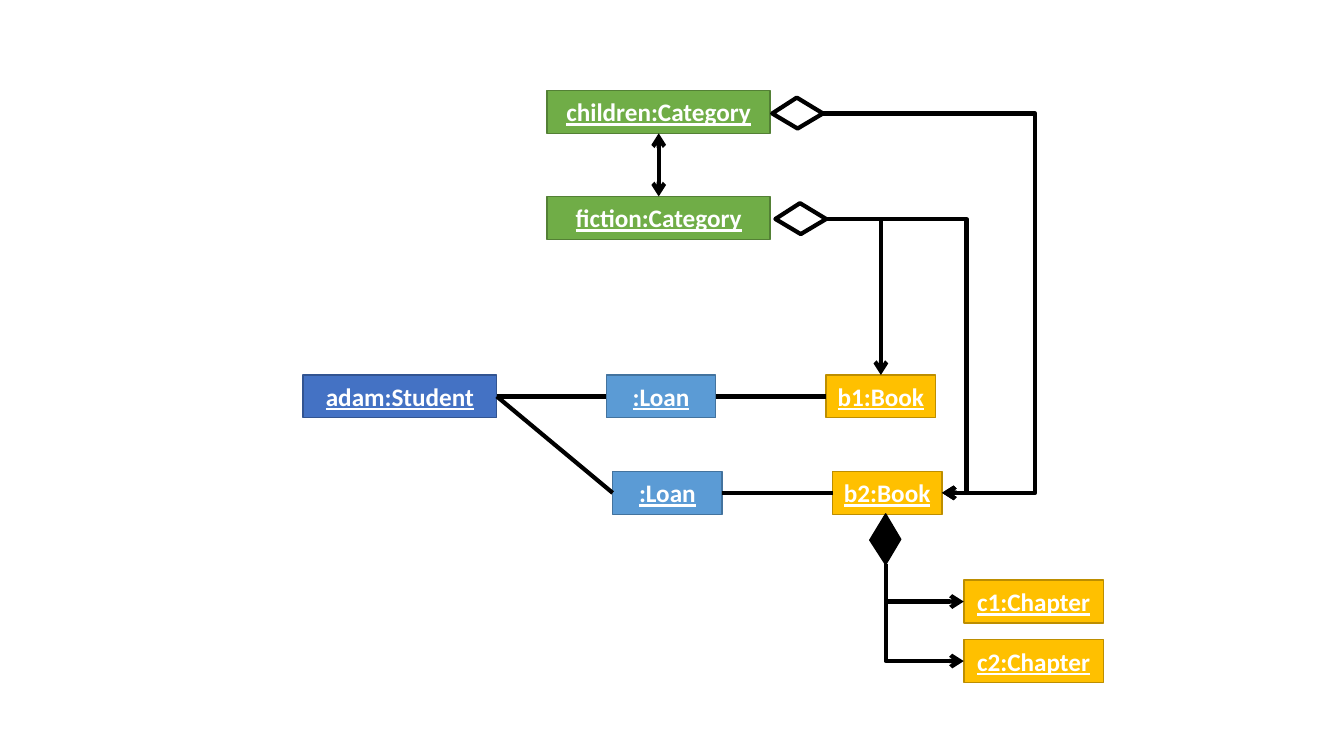
from pptx import Presentation
from pptx import util as u
from pptx.dml.color import RGBColor
from pptx.enum import shapes, text
from pptx.oxml import ns, xmlchemy

COLOURS = {
    "student": ("4472C4", "325491"),
    "loan": ("5B9BD5", "43739E"),
    "book": ("FFC000", "BD8E00"),
    "category": ("70AD47", "538035"),
    "ink": "000000",
    "label": "FFFFFF",
}
LABEL_FORMAT = {"name": "Calibri", "size": u.Pt(18), "bold": True, "underline": True}
BOX_HEIGHT = 1.08
TOP, LEFT, BOTTOM, RIGHT = range(4)

# name: label, kind, left, top, width (cm)
OBJECTS = {
    "adam": ("adam:Student", "student", 7.64, 9.45, 4.88),
    "loan1": (":Loan", "loan", 15.28, 9.45, 2.76),
    "b1": ("b1:Book", "book", 20.82, 9.45, 2.76),
    "loan2": (":Loan", "loan", 15.44, 11.88, 2.76),
    "b2": ("b2:Book", "book", 20.98, 11.88, 2.76),
    "children": ("children:Category", "category", 13.79, 2.28, 5.62),
    "fiction": ("fiction:Category", "category", 13.79, 4.95, 5.62),
    "c1": ("c1:Chapter", "book", 24.29, 14.62, 3.52),
    "c2": ("c2:Chapter", "book", 24.29, 16.12, 3.52),
}
ASSOCIATIONS = [
    ("adam", RIGHT, "loan1", LEFT, ()),
    ("loan1", RIGHT, "b1", LEFT, ()),
    ("adam", RIGHT, "loan2", LEFT, ()),
    ("loan2", RIGHT, "b2", LEFT, ()),
    ("children", BOTTOM, "fiction", TOP, ("headEnd", "tailEnd")),
]
KITE = [(0.4, 0), (0, 0.66), (0.4, 1.28), (0.78, 0.64)]


def rgb(value):
    return RGBColor.from_string(value)


def set_line(shape, colour, width):
    shape.line.color.rgb = rgb(colour)
    shape.line.width = u.Pt(width)


def add_object(page, label, kind, left, top, width):
    box = page.shapes.add_shape(
        shapes.MSO_SHAPE.RECTANGLE,
        u.Cm(left), u.Cm(top), u.Cm(width), u.Cm(BOX_HEIGHT))
    fill, edge = COLOURS[kind]
    box.shadow.inherit = False
    box.fill.solid()
    box.fill.fore_color.rgb = rgb(fill)
    set_line(box, edge, 1)
    frame = box.text_frame
    frame.word_wrap = False
    frame.vertical_anchor = text.MSO_ANCHOR.MIDDLE
    para = frame.paragraphs[0]
    para.alignment = text.PP_ALIGN.CENTER
    span = para.add_run()
    span.text = label
    for name, value in LABEL_FORMAT.items():
        setattr(span.font, name, value)
    span.font.color.rgb = rgb(COLOURS["label"])
    return box


def add_kite(page, left, top, hollow):
    """Add an aggregation (hollow, lying) or composition (filled, upright) end."""
    points = [(u.Cm(left + x), u.Cm(top + y)) for x, y in KITE]
    builder = page.shapes.build_freeform(*points[0])
    builder.add_line_segments(points[1:], close=True)
    kite = builder.convert_to_shape()
    kite.shadow.inherit = False
    if hollow:
        kite.fill.background()
        kite.rotation = 90
    else:
        kite.fill.solid()
        kite.fill.fore_color.rgb = rgb(COLOURS["ink"])
    set_line(kite, COLOURS["ink"], 3 if hollow else 1)


def add_line(page, kind, start, end, arrows):
    line = page.shapes.add_connector(kind, *(u.Cm(value) for value in start + end))
    set_line(line, COLOURS["ink"], 3)
    for tag in arrows:
        arrow = xmlchemy.OxmlElement("a:" + tag)
        arrow.set("type", "arrow")
        line.line._get_or_add_ln().append(arrow)
    line._element.spPr.append(xmlchemy.OxmlElement("a:effectLst"))
    return line


def add_association(page, first, first_side, second, second_side, arrows):
    line = add_line(page, shapes.MSO_CONNECTOR.STRAIGHT, (0, 0), (1, 1), arrows)
    line.begin_connect(first, first_side)
    line.end_connect(second, second_side)


def add_corner(page, start, end, arrow):
    """Add a line that leaves start sideways and reaches end vertically."""
    line = add_line(page, shapes.MSO_CONNECTOR.ELBOW, start, end, (arrow,))
    line._element.spPr.find(ns.qn("a:prstGeom")).set("prst", "bentConnector2")


def add_detour(page, start, end, turn):
    """Add an arrow that runs sideways to x = turn, down, and back to end."""
    line = add_line(page, shapes.MSO_CONNECTOR.ELBOW, start, end, ("tailEnd",))
    geometry = line._element.spPr.find(ns.qn("a:prstGeom"))
    guide = xmlchemy.OxmlElement("a:gd")
    share = round((turn - start[0]) / (end[0] - start[0]) * 100000)
    guide.set("name", "adj1")
    guide.set("fmla", f"val {share}")
    geometry.find(ns.qn("a:avLst")).append(guide)


def main():
    deck = Presentation()
    deck.slide_width, deck.slide_height = u.Cm(33.87), u.Cm(19.05)
    page = deck.slides.add_slide(deck.slide_layouts[6])

    boxes = {name: add_object(page, *values) for name, values in OBJECTS.items()}
    for first, first_side, second, second_side, arrows in ASSOCIATIONS:
        add_association(page, boxes[first], first_side, boxes[second], second_side, arrows)

    children_tip, fiction_tip, book_tip = (20.72, 2.86), (20.8, 5.52), (22.32, 14.22)
    book_side = (23.74, 12.42)
    add_kite(page, 19.71, 2.21, hollow=True)
    add_kite(page, 19.79, 4.87, hollow=True)
    add_kite(page, 21.92, 12.95, hollow=False)
    add_detour(page, children_tip, book_side, 26.09)
    add_detour(page, fiction_tip, book_side, 24.36)
    add_corner(page, fiction_tip, (22.2, 9.45), "tailEnd")
    for name in ("c1", "c2"):
        left, top = OBJECTS[name][2:4]
        add_corner(page, (left, top + BOX_HEIGHT / 2), book_tip, "headEnd")

    deck.save("out.pptx")


if __name__ == "__main__":
    main()
